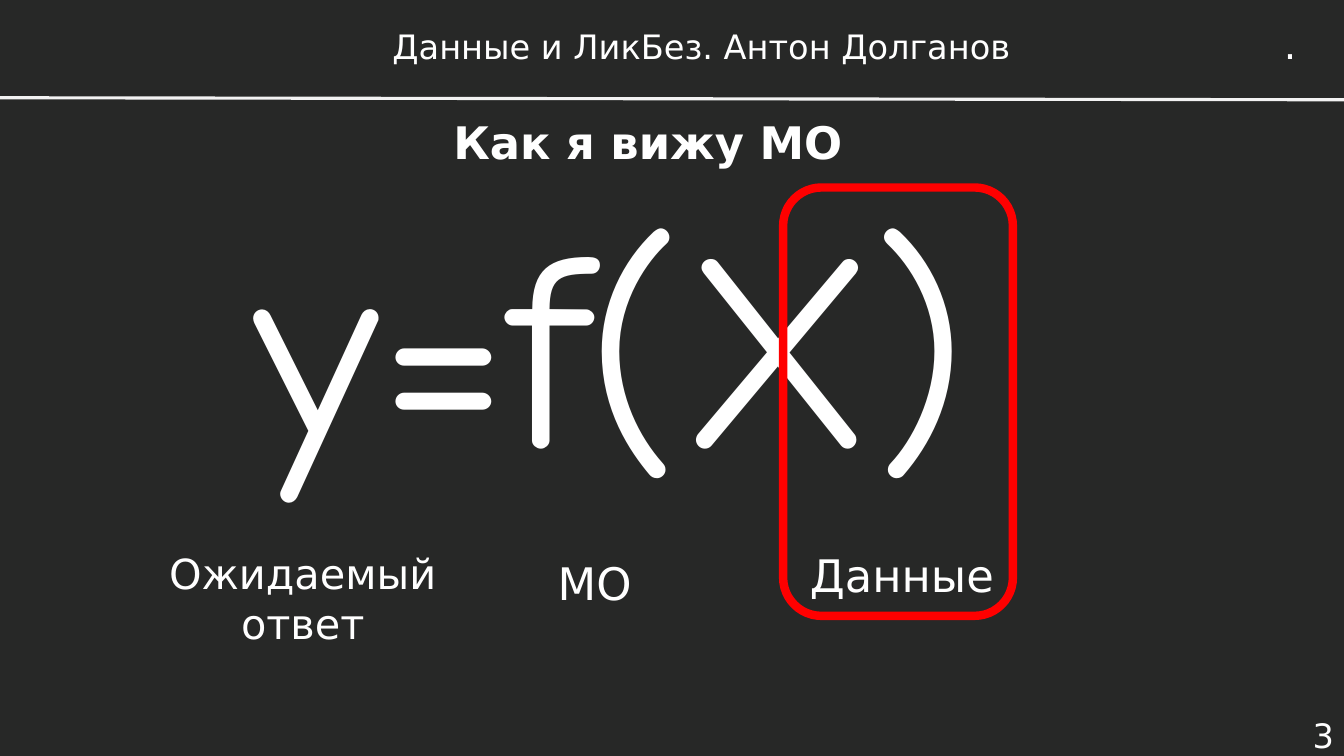
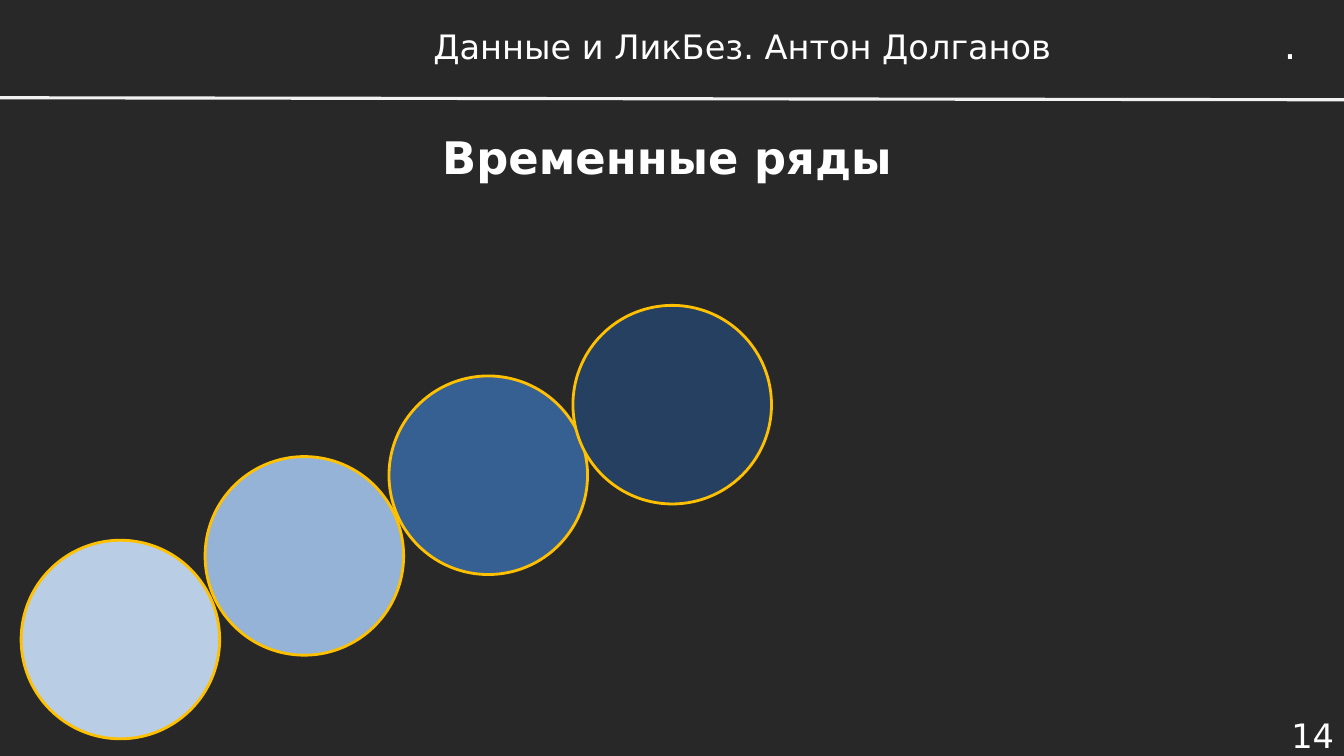
from dataclasses import dataclass

from lxml import etree
from pptx import Presentation
from pptx.dml.color import RGBColor
from pptx.enum.shapes import MSO_CONNECTOR, MSO_SHAPE
from pptx.enum.text import MSO_ANCHOR, MSO_AUTO_SIZE, PP_ALIGN
from pptx.oxml.ns import qn
from pptx.presentation import Presentation as Deck
from pptx.slide import Slide
from pptx.text.text import TextFrame
from pptx.util import Emu, Inches, Pt

LEFT, CENTER, RIGHT = PP_ALIGN.LEFT, PP_ALIGN.CENTER, PP_ALIGN.RIGHT
TOP, MIDDLE = MSO_ANCHOR.TOP, MSO_ANCHOR.MIDDLE
STRAIGHT = MSO_CONNECTOR.STRAIGHT
OVAL, ROUNDED = MSO_SHAPE.OVAL, MSO_SHAPE.ROUNDED_RECTANGLE
TITLE_ONLY = 5
CELL = 0.5  # inches per grid column and row
COLUMNS, ROWS = 26.67, 15


@dataclass(frozen=True)
class Theme:
    background: str = "272827"
    text: str = "FFFFFF"
    rule: str = "F2F2F2"
    accent: str = "FF0000"
    ring: str = "FFC000"
    font: str = "DejaVu Sans"
    formula_font: str = "Comic Neue"
    small: float = 24
    label: float = 29.6
    mark: float = 28
    large: float = 32
    formula: float = 199


@dataclass(frozen=True)
class Area:
    """Place and size in grid columns and rows."""
    column: float
    row: float
    columns: float
    rows: float

    def lengths(self) -> tuple[Emu, Emu, Emu, Emu]:
        return (grid(self.column), grid(self.row),
                grid(self.columns), grid(self.rows))


@dataclass(frozen=True)
class Label:
    text: str
    area: Area
    size: float


@dataclass(frozen=True)
class Circle:
    row: float
    fill: str


THEME = Theme()
HEADER_TEXT = "Данные и ЛикБез. Антон Долганов"
HEADER_RIGHT = 22.58
RULE_ROWS = (1.94, 1.98)
NUMBER_AREA = Area(24.57, 14.17, 2.1, 0.84)
MARK_AREA = Area(25.28, 0.3, 0.68, 1.14)
LABELS = (
    Label("МО", Area(9.12, 10.64, 5.36, 1.82), THEME.large),
    Label("Данные", Area(15.22, 10.5, 5.36, 1.82), THEME.large),
    Label("Ожидаемый ответ", Area(2.94, 10.96, 6.14, 1.82), THEME.label),
)
CIRCLES = (
    Circle(10.72, "B9CDE5"),
    Circle(9.06, "95B3D7"),
    Circle(7.46, "376092"),
    Circle(6.06, "254061"),
)
CIRCLE_START, CIRCLE_STEP, CIRCLE_SIZE = 0.42, 3.65, 3.94


def grid(cells: float) -> Emu:
    return Inches(cells * CELL)


def color(code: str) -> RGBColor:
    return RGBColor.from_string(code)


def write(frame: TextFrame, text: str, *, size: float, font: str = THEME.font,
          bold: bool = False, align: PP_ALIGN = CENTER,
          anchor: MSO_ANCHOR = MIDDLE) -> None:
    frame.word_wrap = True
    frame.auto_size = MSO_AUTO_SIZE.NONE
    frame.vertical_anchor = anchor
    para = frame.paragraphs[0]
    para.alignment = align
    span = para.add_run()
    span.text = text
    span.font.name = font
    span.font.size = Pt(size)
    span.font.bold = bold
    span.font.color.rgb = color(THEME.text)


def add_text(page: Slide, text: str, area: Area, **text_format) -> None:
    box = page.shapes.add_textbox(*area.lengths())
    write(box.text_frame, text, **text_format)


def add_outlined(page: Slide, kind: MSO_SHAPE, area: Area, line: str,
                 width: float, fill: str | None = None) -> None:
    shape = page.shapes.add_shape(kind, *area.lengths())
    shape.shadow.inherit = False
    if fill is None:
        shape.fill.background()
    else:
        shape.fill.solid()
        shape.fill.fore_color.rgb = color(fill)
    shape.line.color.rgb = color(line)
    shape.line.width = Pt(width)


def add_rule(page: Slide) -> None:
    start, end = RULE_ROWS
    rule = page.shapes.add_connector(
        STRAIGHT, 0, grid(start), grid(COLUMNS), grid(end))
    rule.line.color.rgb = color(THEME.rule)
    rule.line.width = Pt(2.25)
    etree.SubElement(rule.element.spPr, qn("a:effectLst"))


def add_page(deck: Deck, title: str, title_area: Area, number: int,
             header_left: float) -> Slide:
    """Add a slide with the shared header, rule, title and number."""
    page = deck.slides.add_slide(deck.slide_layouts[TITLE_ONLY])
    heading = page.shapes.title
    heading.left, heading.top, heading.width, heading.height = title_area.lengths()
    write(heading.text_frame, title, size=THEME.large, bold=True)
    header_area = Area(header_left, 0.38, HEADER_RIGHT - header_left, 1.06)
    add_text(page, HEADER_TEXT, header_area, size=THEME.small)
    add_rule(page)
    add_text(page, ".", MARK_AREA, size=THEME.mark, align=LEFT, anchor=TOP)
    add_text(page, str(number), NUMBER_AREA, size=THEME.small, align=RIGHT)
    return page


def build_formula_page(deck: Deck) -> None:
    page = add_page(deck, "Как я вижу МО", Area(4.2, 1.9, 17.32, 1.82),
                    number=3, header_left=5.26)
    add_text(page, "y=f(X)", Area(4.86, 3.26, 17.56, 6.9), size=THEME.formula,
             font=THEME.formula_font, align=LEFT, anchor=TOP)
    for label in LABELS:
        add_text(page, label.text, label.area, size=label.size)
    add_outlined(page, ROUNDED, Area(15.54, 3.72, 4.56, 8.5), THEME.accent, 6)


def build_series_page(deck: Deck) -> None:
    page = add_page(deck, "Временные ряды", Area(8.24, 2.46, 10, 1.28),
                    number=14, header_left=6.88)
    for index, circle in enumerate(CIRCLES):
        area = Area(CIRCLE_START + index * CIRCLE_STEP, circle.row,
                    CIRCLE_SIZE, CIRCLE_SIZE)
        add_outlined(page, OVAL, area, THEME.ring, 2, circle.fill)


def main() -> None:
    deck = Presentation()
    deck.slide_width, deck.slide_height = grid(COLUMNS), grid(ROWS)
    backdrop = deck.slide_master.background.fill
    backdrop.solid()
    backdrop.fore_color.rgb = color(THEME.background)
    build_formula_page(deck)
    build_series_page(deck)
    deck.save("out.pptx")


if __name__ == "__main__":
    main()
